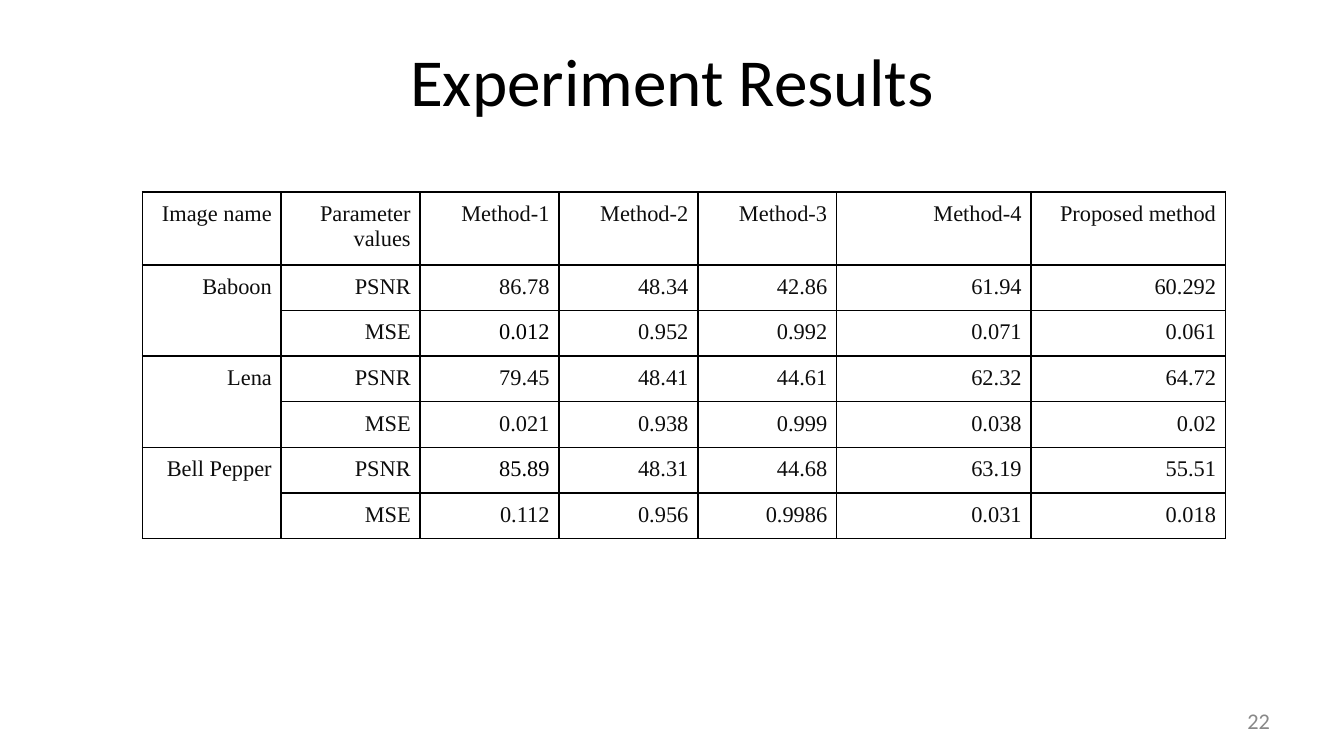
from dataclasses import dataclass

from lxml.etree import SubElement
from pptx import Presentation
from pptx.dml.color import RGBColor
from pptx.enum.text import MSO_ANCHOR, MSO_AUTO_SIZE, PP_ALIGN
from pptx.oxml.ns import qn
from pptx.util import Inches, Pt


@dataclass(frozen=True)
class Theme:
    black: str = "000000"
    ink: str = "0D0D0D"
    gray: str = "888888"
    sans: str = "Calibri"
    serif: str = "Times New Roman"
    title: int = 36
    body: int = 12
    rule: int = 1


THEME = Theme()
HEADS = ["Image name", "Parameter\nvalues", "Method-1", "Method-2",
         "Method-3", "Method-4", "Proposed method"]
RESULTS = {
    "Baboon": {
        "PSNR": ["86.78", "48.34", "42.86", "61.94", "60.292"],
        "MSE": ["0.012", "0.952", "0.992", "0.071", "0.061"],
    },
    "Lena": {
        "PSNR": ["79.45", "48.41", "44.61", "62.32", "64.72"],
        "MSE": ["0.021", "0.938", "0.999", "0.038", "0.02"],
    },
    "Bell Pepper": {
        "PSNR": ["85.89", "48.31", "44.68", "63.19", "55.51"],
        "MSE": ["0.112", "0.956", "0.9986", "0.031", "0.018"],
    },
}
BLACK_CELLS = {"0.012", "85.89"}
TABLE_WIDTH = Inches(8.06)
SHARES = [5] * 5 + [7] * 2
HEIGHTS = [0.44] + [0.26] * 6


def write(frame, text, font=THEME.sans, size=THEME.body, color=THEME.black,
          align=PP_ALIGN.RIGHT):
    """Fill a text frame, one paragraph per line."""
    frame.text = text
    for para in frame.paragraphs:
        para.alignment = align
        for run in para.runs:
            run.font.name = font
            run.font.size = Pt(size)
            run.font.color.rgb = RGBColor.from_string(color)
        if not para.runs:
            SubElement(para._p, qn("a:endParaRPr"), sz=str(size * 100))


def pad(item, inset):
    """Give a text frame or a cell equal margins."""
    item.margin_left = item.margin_right = Inches(inset)
    item.margin_top = item.margin_bottom = Inches(inset)


def add_title(slide, text):
    title = slide.shapes.title
    title.left, title.top = Inches(0.5), Inches(0.12)
    title.width, title.height = Inches(9), Inches(0.94)
    frame = title.text_frame
    write(frame, text, size=THEME.title, align=PP_ALIGN.CENTER)
    pad(frame, 0.05)
    frame.vertical_anchor = MSO_ANCHOR.MIDDLE


def add_number(slide, text):
    box = slide.shapes.add_textbox(Inches(9.21), Inches(5.23),
                                   Inches(0.29), Inches(0.27))
    frame = box.text_frame
    write(frame, text, color=THEME.gray)
    pad(frame, 0.05)
    frame.word_wrap = False
    frame.auto_size = MSO_AUTO_SIZE.SHAPE_TO_FIT_TEXT
    frame.vertical_anchor = MSO_ANCHOR.MIDDLE


def rule_cell(cell):
    """Draw a line on all four sides of a cell."""
    props = cell._tc.get_or_add_tcPr()
    for side in ("a:lnL", "a:lnR", "a:lnT", "a:lnB"):
        line = SubElement(props, qn(side), w=str(Pt(THEME.rule)))
        fill = SubElement(line, qn("a:solidFill"))
        SubElement(fill, qn("a:srgbClr"), val=THEME.black)


def fill_cell(cell, text):
    color = THEME.black if text in BLACK_CELLS else THEME.ink
    write(cell.text_frame, text, font=THEME.serif, color=color)
    pad(cell, 0.07)
    rule_cell(cell)
    cell.fill.background()


def add_results(slide):
    rows = [HEADS]
    for image, measures in RESULTS.items():
        for index, (measure, values) in enumerate(measures.items()):
            rows.append(["" if index else image, measure, *values])
    holder = slide.shapes.add_table(
        len(rows), len(HEADS), Inches(1.06), Inches(1.43),
        TABLE_WIDTH, Inches(2.57))
    table = holder.table
    table.first_row = table.horz_banding = False
    for column, share in zip(table.columns, SHARES):
        column.width = TABLE_WIDTH * share // sum(SHARES)
    for row, height, texts in zip(table.rows, HEIGHTS, rows):
        row.height = Inches(height)
        for cell, text in zip(row.cells, texts):
            fill_cell(cell, text)
    for top in range(1, len(rows), 2):
        table.cell(top, 0).merge(table.cell(top + 1, 0))
    holder.height = Inches(2.57)


def main():
    deck = Presentation()
    deck.slide_width = Inches(10)
    deck.slide_height = deck.slide_width * 9 // 16
    slide = deck.slides.add_slide(deck.slide_layouts[5])
    add_title(slide, "Experiment Results")
    add_number(slide, "22")
    add_results(slide)
    deck.save("out.pptx")


if __name__ == "__main__":
    main()
